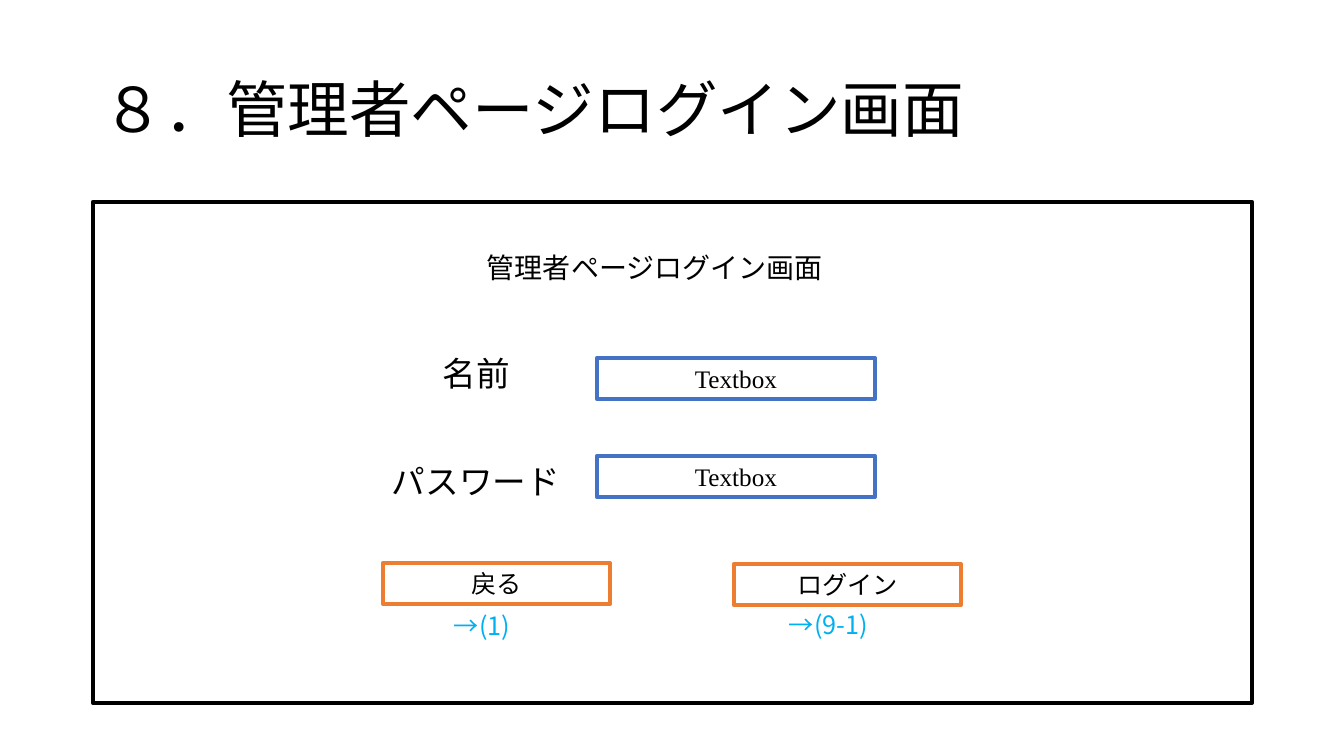
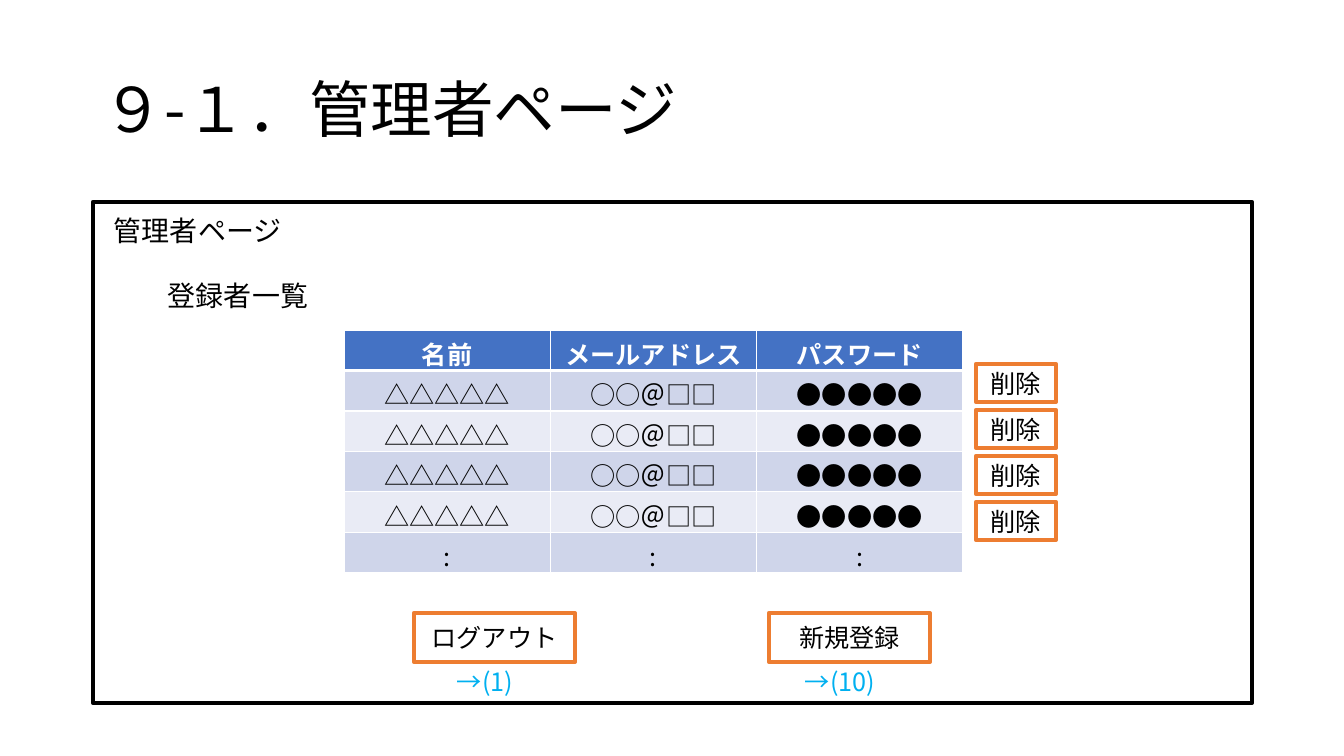
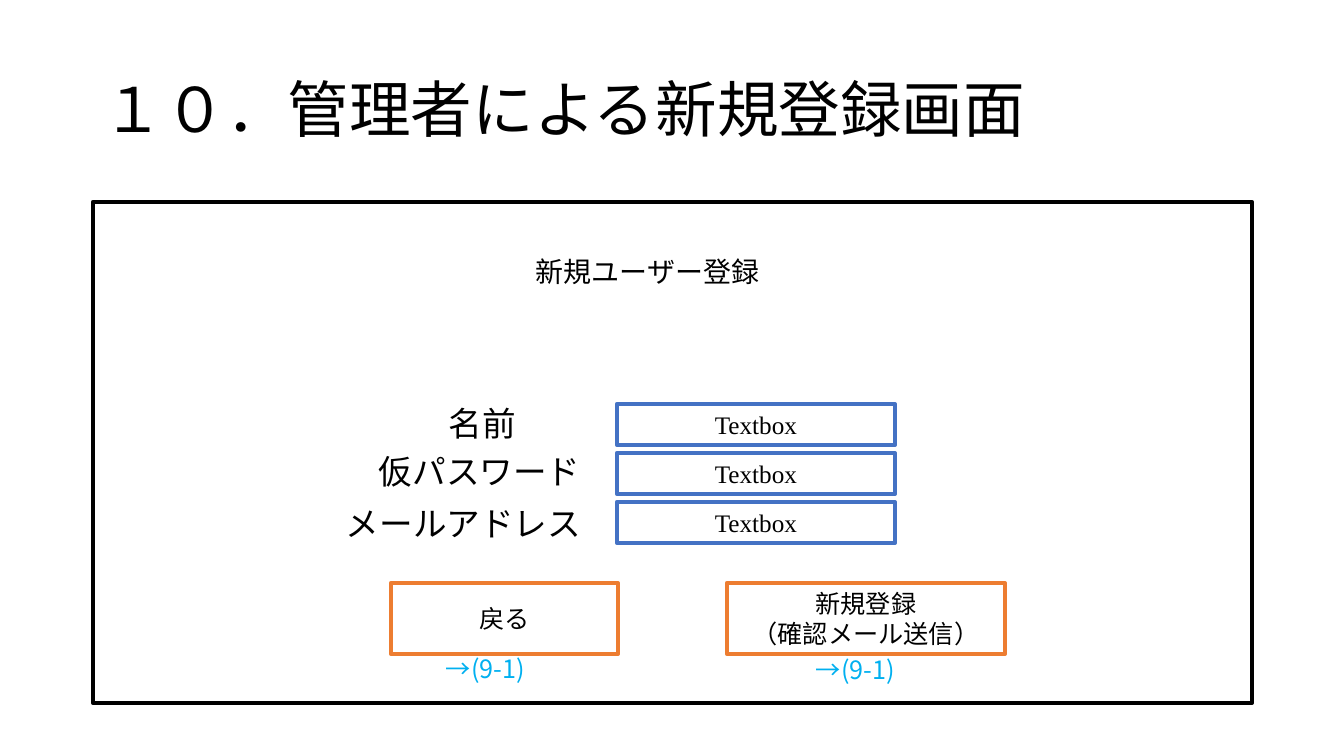
from lxml import etree
from pptx import Presentation
from pptx.dml.color import RGBColor
from pptx.enum import shapes, text
from pptx.oxml import ns
from pptx.util import Pt

# Shared style
SCALE = 914400 / 100.8
BLACK = RGBColor(0x00, 0x00, 0x00)
WHITE = RGBColor(0xFF, 0xFF, 0xFF)
BLUE = RGBColor(0x44, 0x72, 0xC4)
ORANGE = RGBColor(0xED, 0x7D, 0x31)
CYAN = RGBColor(0x00, 0xB0, 0xF0)
BAND_DARK = RGBColor(0xCF, 0xD5, 0xEA)
BAND_LIGHT = RGBColor(0xE9, 0xEB, 0xF5)
SANS = "Noto Sans CJK JP"
SERIF = "Times New Roman"


def px(*values):
    return [round(v * SCALE) for v in values]


class Deck:
    def __init__(self):
        self.prs = Presentation()
        self.prs.slide_width, self.prs.slide_height = px(1344, 756)
        self.slide = None

    def format(self, tf, size, color=BLACK, font=SANS, align=None, bold=False):
        for p in tf.paragraphs:
            p.alignment = align
            for r in p.runs:
                r.font.size = Pt(size)
                r.font.name = font
                r.font.bold = bold
                r.font.color.rgb = color
                ea = etree.SubElement(r.font._element, ns.qn("a:ea"))
                ea.set("typeface", SANS)

    def page(self, title):
        """Start a slide with its title and the screen frame."""
        self.slide = self.prs.slides.add_slide(self.prs.slide_layouts[6])
        tf = self.slide.shapes.add_textbox(*px(93, 40, 1159, 146)).text_frame
        tf.word_wrap = True
        tf.vertical_anchor = text.MSO_ANCHOR.MIDDLE
        tf.text = title
        tf.paragraphs[0].line_spacing = 0.9
        self.format(tf, 44)
        self.box(93, 202, 1159, 501, BLACK)

    def box(self, x, y, w, h, color, words=""):
        sp = self.slide.shapes.add_shape(shapes.MSO_SHAPE.RECTANGLE, *px(x, y, w, h))
        sp.shadow.inherit = False
        sp.fill.background()
        sp.line.color.rgb = color
        sp.line.width = Pt(3)
        tf = sp.text_frame
        tf.vertical_anchor = text.MSO_ANCHOR.MIDDLE
        tf.text = words
        self.format(tf, 18, font=SERIF, align=text.PP_ALIGN.CENTER)

    def field(self, x, y):
        self.box(x, y, 278, 41, BLUE, "Textbox")

    def button(self, x, y, w, h, words):
        self.box(x, y, w, h, ORANGE, words)

    def label(self, x, y, w, h, words, size, color=BLACK, wrap=False):
        tf = self.slide.shapes.add_textbox(*px(x, y, w, h)).text_frame
        tf.word_wrap = wrap
        tf.auto_size = text.MSO_AUTO_SIZE.SHAPE_TO_FIT_TEXT
        tf.text = words
        self.format(tf, size, color)

    def heading(self, x, y, w, words):
        self.label(x, y, w, 44, words, 20)

    def field_name(self, x, y, w, words):
        self.label(x, y, w, 50, words, 24)

    def target(self, x, y, screen):
        self.label(x, y, 156, 40, f"→({screen})", 18, CYAN, wrap=True)

    def border(self, cell, side, width):
        ln = etree.SubElement(cell._tc.get_or_add_tcPr(), ns.qn(f"a:{side}"), w=str(Pt(width)))
        fill = etree.SubElement(ln, ns.qn("a:solidFill"))
        etree.SubElement(fill, ns.qn("a:srgbClr"), val=str(WHITE))

    def table(self, x, y, w, h, rows):
        frame = self.slide.shapes.add_table(len(rows), len(rows[0]), *px(x, y, w, h))
        for i, row in enumerate(rows):
            header = i == 0
            for j, words in enumerate(row):
                cell = frame.table.cell(i, j)
                for side in ("lnL", "lnR", "lnT", "lnB"):
                    thick = (header and side == "lnB") or (i == 1 and side == "lnT")
                    self.border(cell, side, 3 if thick else 1)
                cell.fill.solid()
                band = BAND_DARK if i % 2 else BAND_LIGHT
                cell.fill.fore_color.rgb = BLUE if header else band
                cell.text_frame.text = words
                self.format(cell.text_frame, 18, WHITE if header else BLACK,
                            align=text.PP_ALIGN.CENTER, bold=header)


deck = Deck()

# Administrator login
deck.page("８．管理者ページログイン画面")
deck.heading(477, 246, 360, "管理者ページログイン画面")
deck.field_name(433, 348, 89, "名前")
deck.field_name(382, 456, 190, "パスワード")
for y in (358, 456):
    deck.field(597, y)
deck.button(383, 563, 227, 41, "戻る")
deck.button(734, 564, 227, 41, "ログイン")
deck.target(444, 605, "1")
deck.target(779, 604, "9-1")

# Administrator page with the list of users
deck.page("９-１．管理者ページ")
deck.heading(104, 209, 190, "管理者ページ")
deck.heading(158, 274, 161, "登録者一覧")
user = ["△△△△△", "○○＠□□", "●●●●●"]
deck.table(344, 330, 619, 243,
           [["名前", "メールアドレス", "パスワード"]] + [user] * 4 + [[":"] * 3])
for i in range(4):
    deck.button(976, 364 + 46 * i, 80, 38, "削除")
deck.button(414, 613, 161, 49, "ログアウト")
deck.button(769, 613, 161, 49, "新規登録")
deck.target(447, 661, "1")
deck.target(795, 661, "10")

# Registration of a new user
deck.page("１０．管理者による新規登録画面")
deck.heading(526, 250, 247, "新規ユーザー登録")
deck.field_name(439, 398, 89, "名前")
deck.field_name(369, 446, 224, "仮パスワード")
deck.field_name(336, 498, 258, "メールアドレス")
for i in range(3):
    deck.field(617, 404 + 49 * i)
deck.button(391, 583, 227, 71, "戻る")
deck.button(727, 583, 278, 71, "新規登録\n（確認メール送信）")
deck.target(436, 648, "9-1")
deck.target(806, 649, "9-1")

deck.prs.save("out.pptx")
